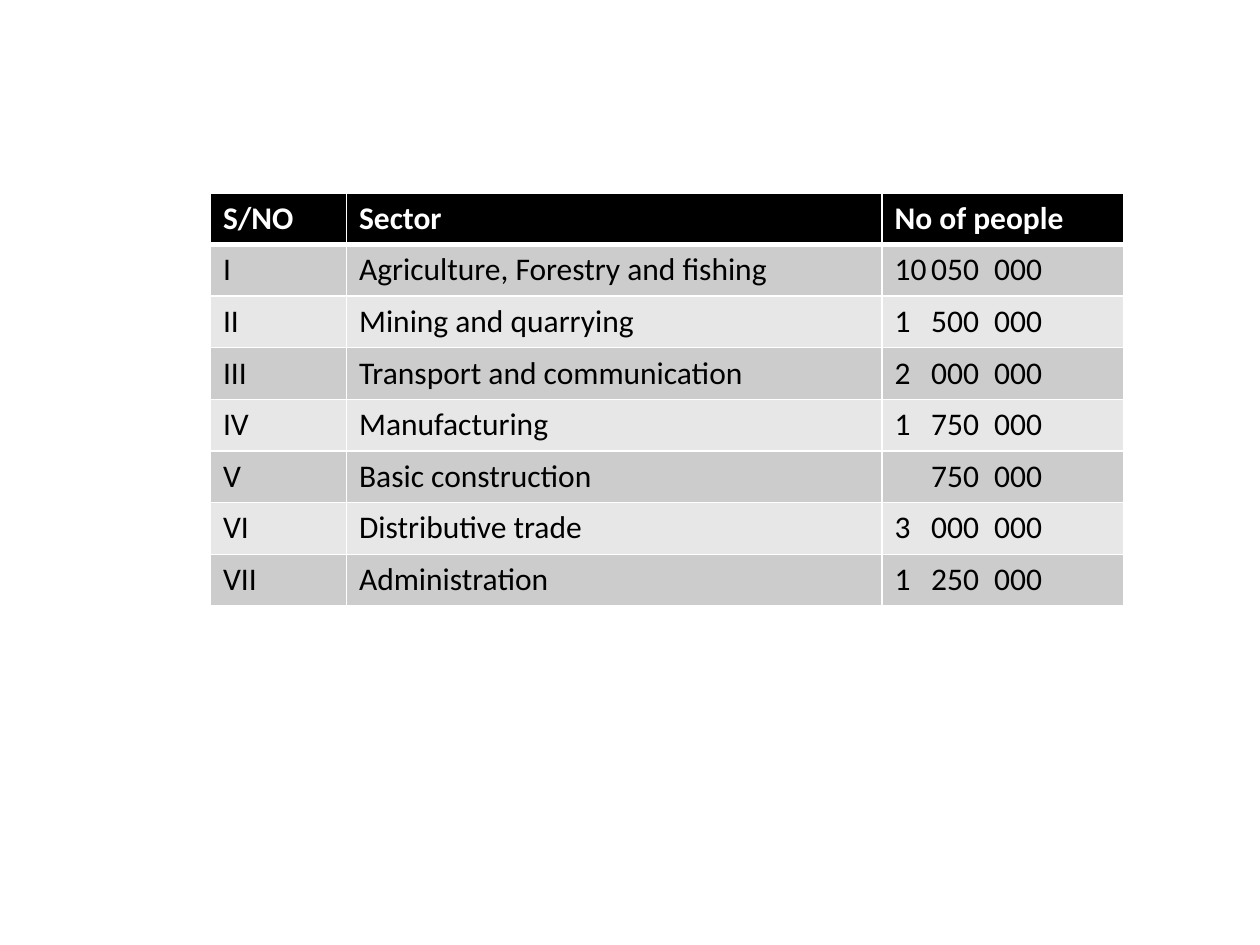
from dataclasses import dataclass

from lxml.etree import SubElement
from pptx import Presentation
from pptx.dml.color import RGBColor as RGB
from pptx.oxml.ns import qn
from pptx.util import Inches, Pt


@dataclass(frozen=True)
class Theme:
    font: str = "Calibri"
    size: int = 18
    header_fill: str = "000000"
    header_text: str = "FFFFFF"
    body_text: str = "000000"
    bands: tuple = ("CCCCCC", "E7E7E7")
    rule: str = "FFFFFF"
    thin: int = 1
    thick: int = 3


HEADINGS = ("S/NO", "Sector", "No of people")
SECTORS = (
    ("I", "Agriculture, Forestry and fishing", "10\t050\t000"),
    ("II", "Mining and quarrying", "1\t500\t000"),
    ("III", "Transport and communication", "2\t000\t000"),
    ("IV", "Manufacturing", "1\t750\t000"),
    ("V", "Basic construction", "\t750\t000"),
    ("VI", "Distributive trade", "3\t000\t000"),
    ("VII", "Administration", "1\t250\t000"),
)
COLUMN_WIDTHS = (1.08, 4.25, 1.92)
ROW_HEIGHT = 0.41
DIGIT_GROUP_STOPS = (0.29, 0.79)


class SlideBuilder:
    """Draws themed elements on the current slide."""

    def __init__(self, slide, theme):
        self.slide = slide
        self.theme = theme

    def table(self, left, top, widths, row_height, rows):
        frame = self.slide.shapes.add_table(
            len(rows), len(widths), Inches(left), Inches(top),
            Inches(sum(widths)), Inches(row_height * len(rows)))
        grid = frame.table
        for column, width in zip(grid.columns, widths):
            column.width = Inches(width)
        for row_index, texts in enumerate(rows):
            grid.rows[row_index].height = Inches(row_height)
            for column_index, text in enumerate(texts):
                self.cell(grid.cell(row_index, column_index), text, row_index)

    def cell(self, cell, text, row_index):
        theme = self.theme
        is_header = row_index == 0
        fill = theme.header_fill if is_header else theme.bands[(row_index - 1) % 2]
        cell.fill.solid()
        cell.fill.fore_color.rgb = RGB.from_string(fill)
        self.borders(cell, top=theme.thick if row_index == 1 else theme.thin,
                     bottom=theme.thick if is_header else theme.thin)

        cell.text = text
        paragraph = cell.text_frame.paragraphs[0]
        if "\t" in text:
            self.tab_stops(paragraph)
        font = paragraph.font
        font.name, font.size, font.bold = theme.font, Pt(theme.size), is_header
        font.color.rgb = RGB.from_string(
            theme.header_text if is_header else theme.body_text)

    def borders(self, cell, top, bottom):
        properties = cell._tc.get_or_add_tcPr()
        weights = {"L": self.theme.thin, "R": self.theme.thin, "T": top, "B": bottom}
        for position, (side, weight) in enumerate(weights.items()):
            line = SubElement(properties, qn(f"a:ln{side}"), w=str(Pt(weight)))
            solid = SubElement(line, qn("a:solidFill"))
            SubElement(solid, qn("a:srgbClr"), val=self.theme.rule)
            properties.insert(position, line)

    def tab_stops(self, paragraph):
        stops = SubElement(paragraph._p.get_or_add_pPr(), qn("a:tabLst"))
        for stop in DIGIT_GROUP_STOPS:
            SubElement(stops, qn("a:tab"), pos=str(Inches(stop)), algn="l")


def main():
    presentation = Presentation()
    presentation.slide_width, presentation.slide_height = Inches(10), Inches(7.5)
    slide = presentation.slides.add_slide(presentation.slide_layouts[6])
    builder = SlideBuilder(slide, Theme())
    builder.table(1.67, 1.53, COLUMN_WIDTHS, ROW_HEIGHT, (HEADINGS, *SECTORS))
    presentation.save("out.pptx")


if __name__ == "__main__":
    main()
